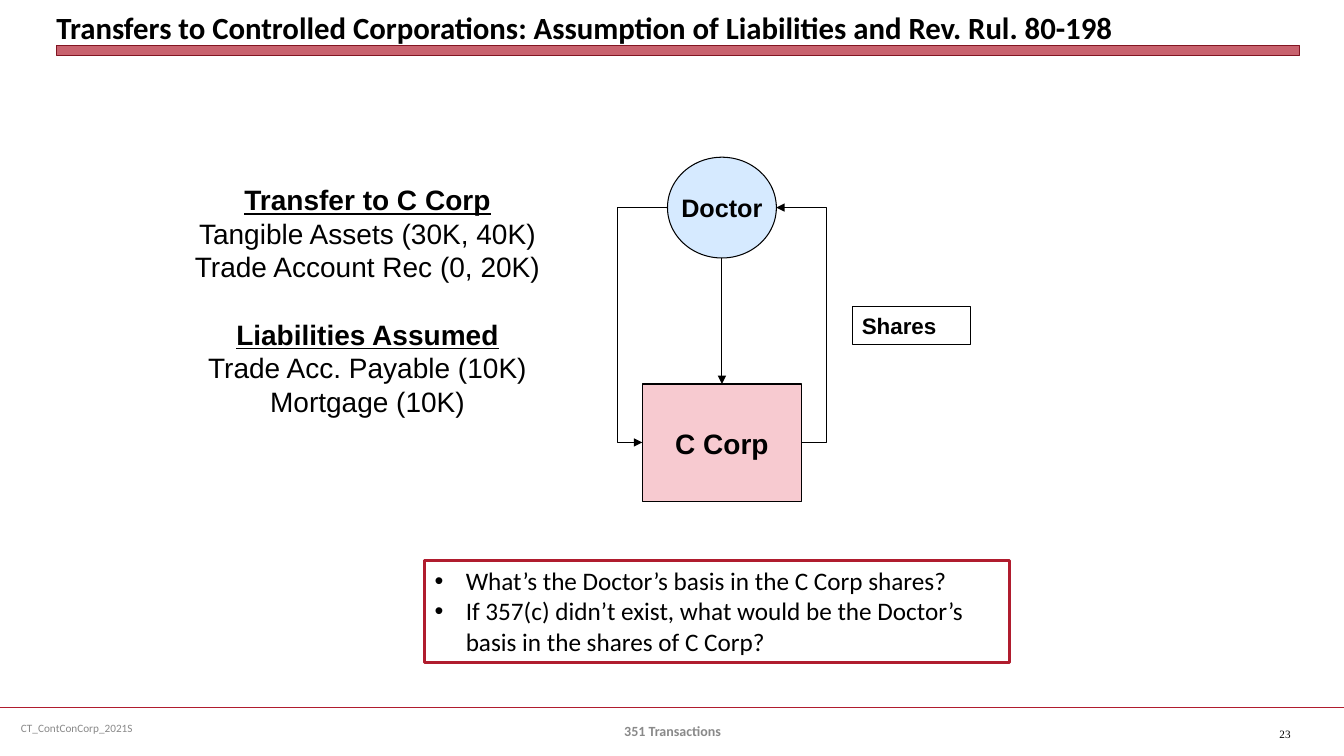
from lxml import etree
from pptx import Presentation
from pptx.dml.color import RGBColor
from pptx.enum.shapes import MSO_CONNECTOR, MSO_SHAPE
from pptx.enum.text import MSO_ANCHOR, MSO_AUTO_SIZE, PP_ALIGN
from pptx.oxml.ns import qn
from pptx.util import Inches, Pt

LEFT, CENTER, RIGHT = PP_ALIGN.LEFT, PP_ALIGN.CENTER, PP_ALIGN.RIGHT
MIDDLE, BOTTOM = MSO_ANCHOR.MIDDLE, MSO_ANCHOR.BOTTOM
STRAIGHT, ELBOW = MSO_CONNECTOR.STRAIGHT, MSO_CONNECTOR.ELBOW
RECTANGLE, OVAL = MSO_SHAPE.RECTANGLE, MSO_SHAPE.OVAL
COLORS = {
    "black": "000000",
    "red": "B01C2E",
    "dark red": "821522",
    "blue": "D6EAFF",
    "pink": "F7CAD0",
    "gray": "898989",
}


def write(paragraph, text, size, font="Arial", color="black", bold=False, align=LEFT):
    paragraph.alignment = align
    run = paragraph.add_run()
    run.text = text
    run.font.name = font
    run.font.size = Pt(size)
    run.font.bold = bold
    run.font.color.rgb = RGBColor.from_string(COLORS[color])
    return run


def add_line(start, end, kind=STRAIGHT, color="black", width=0.75, arrow=True):
    connector = slide.shapes.add_connector(kind, *map(Inches, start + end))
    connector.line.color.rgb = RGBColor.from_string(COLORS[color])
    connector.line.width = Pt(width)
    properties = connector._element.spPr
    if arrow:
        outline = properties.find(qn("a:ln"))
        etree.SubElement(outline, qn("a:tailEnd"), type="triangle")
    etree.SubElement(properties, qn("a:effectLst"))
    return connector


presentation = Presentation()
presentation.slide_width = Inches(13.33)
presentation.slide_height = Inches(7.5)
slide = presentation.slides.add_slide(presentation.slide_layouts[1])

add_line((0, 7.02), (13.33, 7.02), color="red", width=1.25, arrow=False)

title = slide.shapes.title
title.left, title.top, title.width, title.height = map(Inches, (0.56, 0.05, 12.33, 0.4))
frame = title.text_frame
frame.margin_left = frame.margin_right = frame.margin_top = frame.margin_bottom = 0
frame.vertical_anchor = BOTTOM
frame.auto_size = MSO_AUTO_SIZE.NONE
write(
    frame.paragraphs[0],
    "Transfers to Controlled Corporations: Assumption of Liabilities and Rev. Rul. 80-198",
    22, "Calibri", bold=True,
)

boxes = {}
for name, kind, place, fill, line, width, text, size, align in (
    ("bar", RECTANGLE, (0.56, 0.45, 12.33, 0.1), "red", "dark red", 0, "", 0, LEFT),
    ("doctor", OVAL, (6.62, 1.56, 1.08, 1), "blue", "black", 0.75, "Doctor", 18, CENTER),
    ("corporation", RECTANGLE, (6.37, 3.81, 1.58, 1.17), "pink", "black", 0.75, "C Corp", 20, CENTER),
    ("shares", RECTANGLE, (8.45, 3.04, 1.17, 0.38), None, "black", 0.5, "Shares", 16, LEFT),
):
    shape = slide.shapes.add_shape(kind, *map(Inches, place))
    shape.shadow.inherit = False
    if fill:
        shape.fill.solid()
        shape.fill.fore_color.rgb = RGBColor.from_string(COLORS[fill])
    else:
        shape.fill.background()
    shape.line.color.rgb = RGBColor.from_string(COLORS[line])
    shape.line.width = Pt(width)
    if text:
        shape.text_frame.vertical_anchor = MIDDLE
        shape.text_frame.word_wrap = align == LEFT
        write(shape.text_frame.paragraphs[0], text, size, bold=True, align=align)
    boxes[name] = shape

bar_color = boxes["bar"]._element.spPr.find(qn("a:solidFill"))[0]
etree.SubElement(bar_color, qn("a:alpha"), val="69000")

transfer_arrow = add_line((7.16, 2.56), (7.16, 3.81))
transfer_arrow.end_connect(boxes["corporation"], 0)

for start, end, bend in (
    ((6.62, 2.06), (6.37, 4.39), 200000),
    ((7.95, 4.39), (7.7, 2.06), -100000),
):
    elbow = add_line(start, end, ELBOW)
    guides = elbow._element.spPr.find(qn("a:prstGeom")).find(qn("a:avLst"))
    etree.SubElement(guides, qn("a:gd"), name="adj1", fmla=f"val {bend}")

terms = slide.shapes.add_textbox(*map(Inches, (1.35, 1.72, 4.59, 2.52))).text_frame
terms.word_wrap = True
terms.vertical_anchor = MIDDLE
paragraph = terms.paragraphs[0]
for heading, items in (
    ("Transfer to C Corp", ("Tangible Assets (30K, 40K)", "Trade Account Rec (0, 20K)")),
    ("Liabilities Assumed", ("Trade Acc. Payable (10K)", "Mortgage (10K)")),
):
    if paragraph is None:
        paragraph = terms.add_paragraph()
        paragraph.space_before = Pt(24)
    write(paragraph, heading, 20, bold=True, align=CENTER).font.underline = True
    for item in items:
        write(terms.add_paragraph(), item, 20, align=CENTER)
    paragraph = None

questions = slide.placeholders[1]
questions.left, questions.top, questions.width, questions.height = map(
    Inches, (4.21, 5.56, 5.8, 1.01)
)
questions.line.color.rgb = RGBColor.from_string(COLORS["red"])
questions.line.width = Pt(2.25)
frame = questions.text_frame
frame.auto_size = MSO_AUTO_SIZE.NONE
for index, question in enumerate((
    "What’s the Doctor’s basis in the C Corp shares?",
    "If 357(c) didn’t exist, what would be the Doctor’s basis in the shares of C Corp?",
)):
    paragraph = frame.add_paragraph() if index else frame.paragraphs[0]
    paragraph.space_before = Pt(0)
    write(paragraph, question, 18, "Calibri")
    properties = paragraph._p.get_or_add_pPr()
    properties.set("marL", str(Inches(0.31)))
    properties.set("indent", str(Inches(-0.31)))
    etree.SubElement(properties, qn("a:buFont"), typeface="Arial")
    etree.SubElement(properties, qn("a:buChar"), char="•")

for place, text, size, font, color, bold, align in (
    ((0.11, 7.02, 3.44, 0.4), "CT_ContConCorp_2021S", 8, "Calibri", "gray", False, LEFT),
    ((4.56, 7.05, 4.22, 0.4), "351 Transactions", 10, "Calibri", "gray", True, CENTER),
    ((12.23, 7.08, 0.67, 0.4), "23", 8, "Times New Roman", "black", False, RIGHT),
):
    frame = slide.shapes.add_textbox(*map(Inches, place)).text_frame
    frame.word_wrap = True
    frame.vertical_anchor = MIDDLE
    write(frame.paragraphs[0], text, size, font, color, bold, align)

presentation.save("out.pptx")
